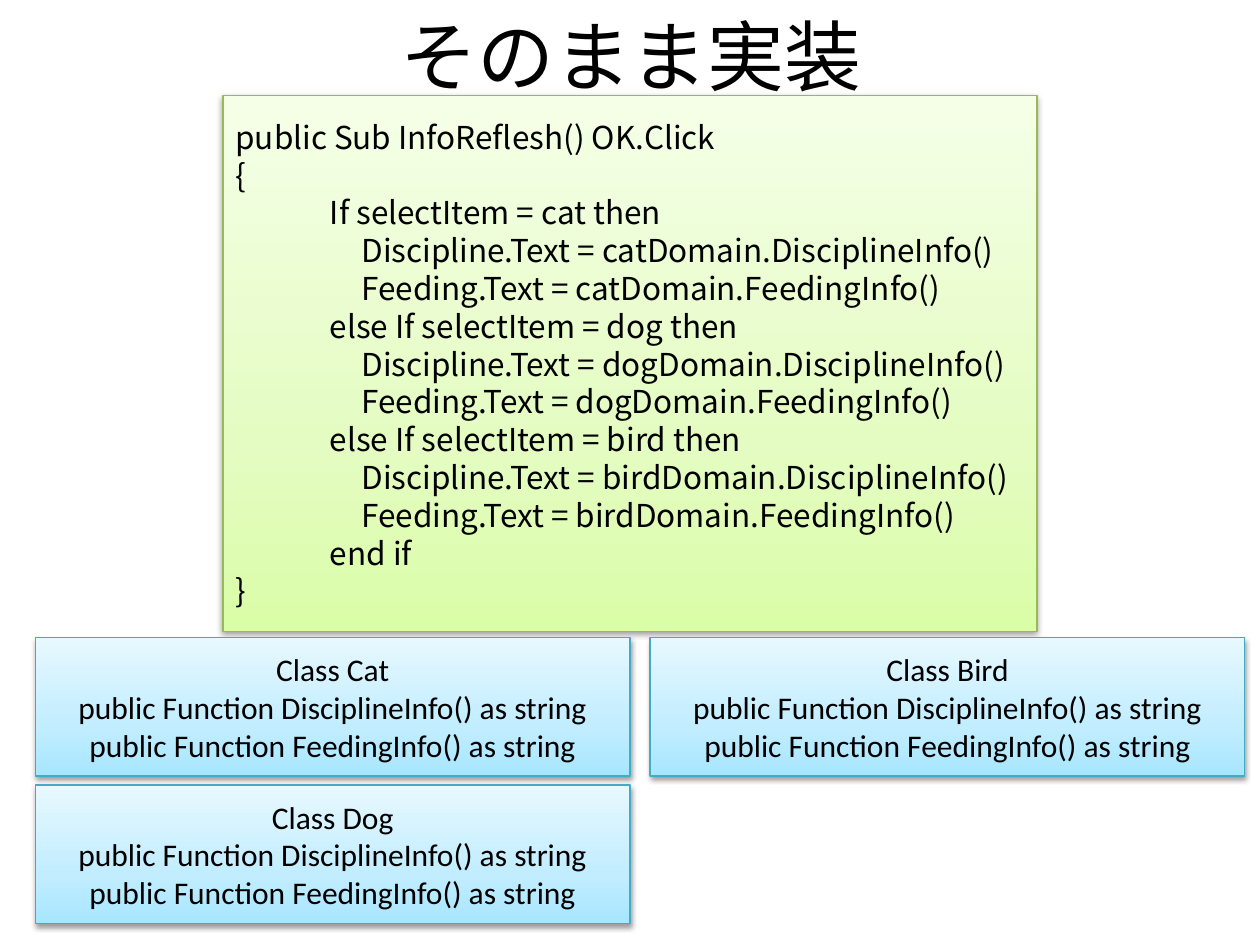
import copy

import lxml.etree
import pptx
import pptx.dml.color
import pptx.enum.shapes
import pptx.enum.text
import pptx.oxml.ns
import pptx.util

Inches = pptx.util.Inches
Pt = pptx.util.Pt
RGB = pptx.dml.color.RGBColor
Align = pptx.enum.text.PP_ALIGN
qn = pptx.oxml.ns.qn

BLACK = RGB(0x00, 0x00, 0x00)
GREEN_EDGE = RGB(0x98, 0xB9, 0x55)
BLUE_EDGE = RGB(0x46, 0xAA, 0xC5)
# Gradient colours run from the bottom to the top
GREENS = [RGB(0xDA, 0xFD, 0xA7), RGB(0xE4, 0xFC, 0xC2), RGB(0xF5, 0xFF, 0xE7)]
BLUES = [RGB(0xA7, 0xE6, 0xFF), RGB(0xC1, 0xED, 0xFF), RGB(0xE7, 0xF8, 0xFF)]
STOPS = [0, 0.35, 1]

LATIN = "Calibri"
ASIAN = "Noto Sans CJK JP"

HEAD = "public Sub InfoReflesh() OK.Click"
PETS = ["cat", "dog", "bird"]
FUNCS = ["Discipline", "Feeding"]


def write(shape, text, size=18, font=LATIN, align=Align.LEFT, pitch=None):
    """Fill a shape with one paragraph per line of text."""
    frame = shape.text_frame
    frame.word_wrap = True
    frame.auto_size = pptx.enum.text.MSO_AUTO_SIZE.NONE
    frame.vertical_anchor = pptx.enum.text.MSO_ANCHOR.MIDDLE
    for i, line in enumerate(text.split("\n")):
        para = frame.paragraphs[0] if i == 0 else frame.add_paragraph()
        para.alignment = align
        if pitch:
            para.line_spacing = Pt(pitch)
        para._p.get_or_add_pPr().set("defTabSz", str(Inches(1)))
        run = para.add_run()
        run.text = line
        run.font.size = Pt(size)
        run.font.name = font
        run.font.color.rgb = BLACK
        asian = lxml.etree.Element(qn("a:ea"), typeface=ASIAN)
        run._r.rPr.find(qn("a:latin")).addnext(asian)


class Deck:
    """Holds the style and the current slide."""

    def __init__(self):
        self.file = pptx.Presentation()
        self.file.slide_width = Inches(10)
        self.file.slide_height = Inches(7.5)
        self.slide = self.file.slides.add_slide(self.file.slide_layouts[5])

    def title(self, text, left, top, width, height):
        shape = self.slide.shapes.title
        shape.left, shape.top = Inches(left), Inches(top)
        shape.width, shape.height = Inches(width), Inches(height)
        write(shape, text, size=44, align=Align.CENTER)

    def panel(self, text, left, top, width, height, tones, edge, **style):
        shape = self.slide.shapes.add_shape(
            pptx.enum.shapes.MSO_SHAPE.RECTANGLE,
            Inches(left), Inches(top), Inches(width), Inches(height))
        self.shade(shape, tones)
        shape.line.color.rgb = edge
        shape.line.width = Pt(0.75)
        self.shadow(shape)
        write(shape, text, **style)

    def shade(self, shape, tones):
        fill = shape.fill
        fill.gradient()
        fill.gradient_angle = 90
        # A new gradient has two stops: add the middle one
        first = shape._element.spPr.find(".//" + qn("a:gs"))
        first.addnext(copy.deepcopy(first))
        for stop, tone, place in zip(fill.gradient_stops, tones, STOPS):
            stop.color.rgb = tone
            stop.position = place

    def shadow(self, shape):
        shape.shadow.inherit = False
        effects = shape._element.spPr.find(qn("a:effectLst"))
        outer = lxml.etree.SubElement(
            effects, qn("a:outerShdw"), blurRad=str(Pt(3.1)),
            dist=str(Pt(1.6)), dir="5400000", rotWithShape="0")
        color = lxml.etree.SubElement(outer, qn("a:srgbClr"), val=str(BLACK))
        lxml.etree.SubElement(color, qn("a:alpha"), val="38000")


def code():
    """Give the listing that picks the domain for each pet."""
    lines = [HEAD, "{"]
    for i, pet in enumerate(PETS):
        lines.append(f"   {'else ' if i else ''}If selectItem = {pet} then")
        lines += [f"\t{f}.Text = {pet}Domain.{f}Info()" for f in FUNCS]
    return "\n".join(lines + ["   end if", "}"]).replace("   ", "　　　")


def main():
    deck = Deck()
    deck.title("そのまま実装", 0.51, 0, 9, 0.87)

    # Code panel
    deck.panel(code(), 1.77, 0.76, 6.46, 4.25, GREENS, GREEN_EDGE,
               font=ASIAN, pitch=21.6)

    # Class panels, filled down and then across
    for i, pet in enumerate(PETS):
        col, row = divmod(i, 2)
        text = "\n".join([f"Class {pet.title()}"] + [
            f"public Function {f}Info() as string" for f in FUNCS])
        deck.panel(text, 0.28 + 4.88 * col, 5.06 + 1.17 * row, 4.72, 1.1,
                   BLUES, BLUE_EDGE, align=Align.CENTER)

    deck.file.save("out.pptx")


if __name__ == "__main__":
    main()
